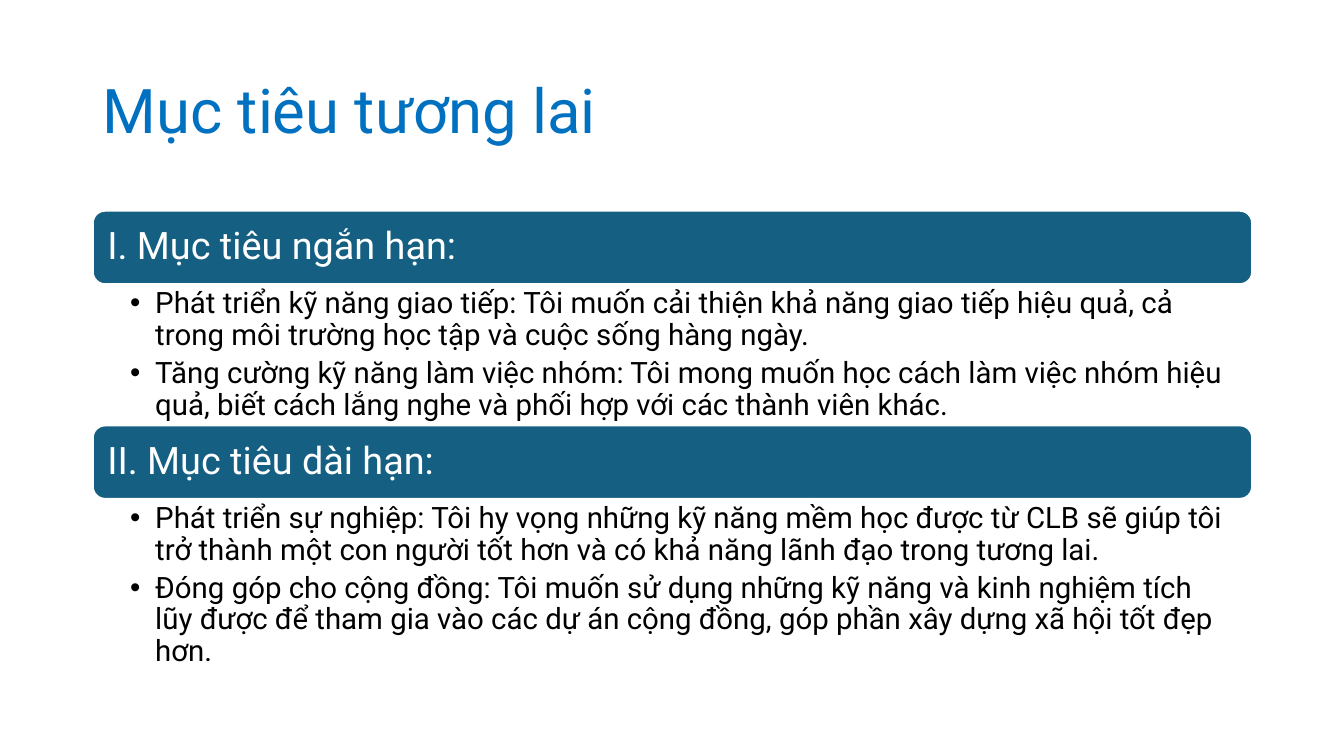
from lxml import etree
from pptx import Presentation
from pptx.dml.color import RGBColor
from pptx.enum.shapes import MSO_SHAPE
from pptx.enum.text import MSO_ANCHOR, PP_ALIGN
from pptx.oxml.ns import qn
from pptx.util import Inches, Pt

ROUND = MSO_SHAPE.ROUNDED_RECTANGLE
MIDDLE, TOP = MSO_ANCHOR.MIDDLE, MSO_ANCHOR.TOP
LEFT = PP_ALIGN.LEFT

COLORS = {"title": "0070C0", "bar": "156082", "light": "FFFFFF", "dark": "000000"}
FONT = "Roboto"
X, WIDTH = 0.92, 11.5
BAR = 0.73

# Top of bar, heading, height of list, list items
PARTS = [
    (2.09, "I. Mục tiêu ngắn hạn:", 1.41, [
        "Phát triển kỹ năng giao tiếp: Tôi muốn cải thiện khả năng giao tiếp hiệu quả, "
        "cả trong môi trường học tập và cuộc sống hàng ngày.",
        "Tăng cường kỹ năng làm việc nhóm: Tôi mong muốn học cách làm việc nhóm hiệu quả, "
        "biết cách lắng nghe và phối hợp với các thành viên khác.",
    ]),
    (4.22, "II. Mục tiêu dài hạn:", 1.71, [
        "Phát triển sự nghiệp: Tôi hy vọng những kỹ năng mềm học được từ CLB sẽ giúp tôi "
        "trở thành một con người tốt hơn và có khả năng lãnh đạo trong tương lai.",
        "Đóng góp cho cộng đồng: Tôi muốn sử dụng những kỹ năng và kinh nghiệm tích lũy "
        "được để tham gia vào các dự án cộng đồng, góp phần xây dựng xã hội tốt đẹp hơn.",
    ]),
]


class Board:
    def __init__(self, slide):
        self.slide = slide

    def color(self, name):
        return RGBColor.from_string(COLORS[name])

    def fill(self, shape, lines, size, color, anchor, insets, after=0, bullet=False):
        frame = shape.text_frame
        sides = ("margin_left", "margin_top", "margin_right", "margin_bottom")
        form = dict(zip(sides, map(Inches, insets)))
        form.update(word_wrap=True, vertical_anchor=anchor)
        for key, value in form.items():
            setattr(frame, key, value)
        for i, line in enumerate(lines):
            para = frame.add_paragraph() if i else frame.paragraphs[0]
            form = {"alignment": LEFT, "line_spacing": 0.9, "space_after": Pt(after)}
            for key, value in form.items():
                setattr(para, key, value)
            run = para.add_run()
            run.text = line
            for key, value in {"name": FONT, "size": Pt(size)}.items():
                setattr(run.font, key, value)
            run.font.color.rgb = self.color(color)
            if bullet:
                self.mark(para)

    def mark(self, para):
        props = para._p.get_or_add_pPr()
        props.set("marL", str(Inches(0.25)))
        props.set("indent", str(-Inches(0.25)))
        etree.SubElement(props, qn("a:buFont")).set("typeface", "Arial")
        etree.SubElement(props, qn("a:buChar")).set("char", "•")

    def text(self, top, height, lines, **style):
        box = self.slide.shapes.add_textbox(
            Inches(X), Inches(top), Inches(WIDTH), Inches(height))
        self.fill(box, lines, **style)

    def bar(self, top, label):
        shape = self.slide.shapes.add_shape(
            ROUND, Inches(X), Inches(top), Inches(WIDTH), Inches(BAR))
        shape.shadow.inherit = False
        shape.fill.solid()
        shape.fill.fore_color.rgb = self.color("bar")
        shape.line.color.rgb = self.color("light")
        shape.line.width = Pt(1.5)
        self.fill(shape, [label], 27, "light", MIDDLE, (0.11, 0.11, 0.11, 0.11))


def main():
    deck = Presentation()
    deck.slide_width, deck.slide_height = Inches(13.33), Inches(7.5)
    board = Board(deck.slides.add_slide(deck.slide_layouts[6]))

    # Title
    board.text(0.4, 1.45, ["Mục tiêu tương lai"], size=44, color="title",
               anchor=MIDDLE, insets=(0.1, 0.05, 0.1, 0.05))

    # Goals: a bar with its list below
    for top, label, height, items in PARTS:
        board.bar(top, label)
        board.text(top + BAR, height, items, size=21, color="dark", anchor=TOP,
                   insets=(0.37, 0.04, 0.21, 0.04), after=4.5, bullet=True)

    deck.save("out.pptx")


if __name__ == "__main__":
    main()
